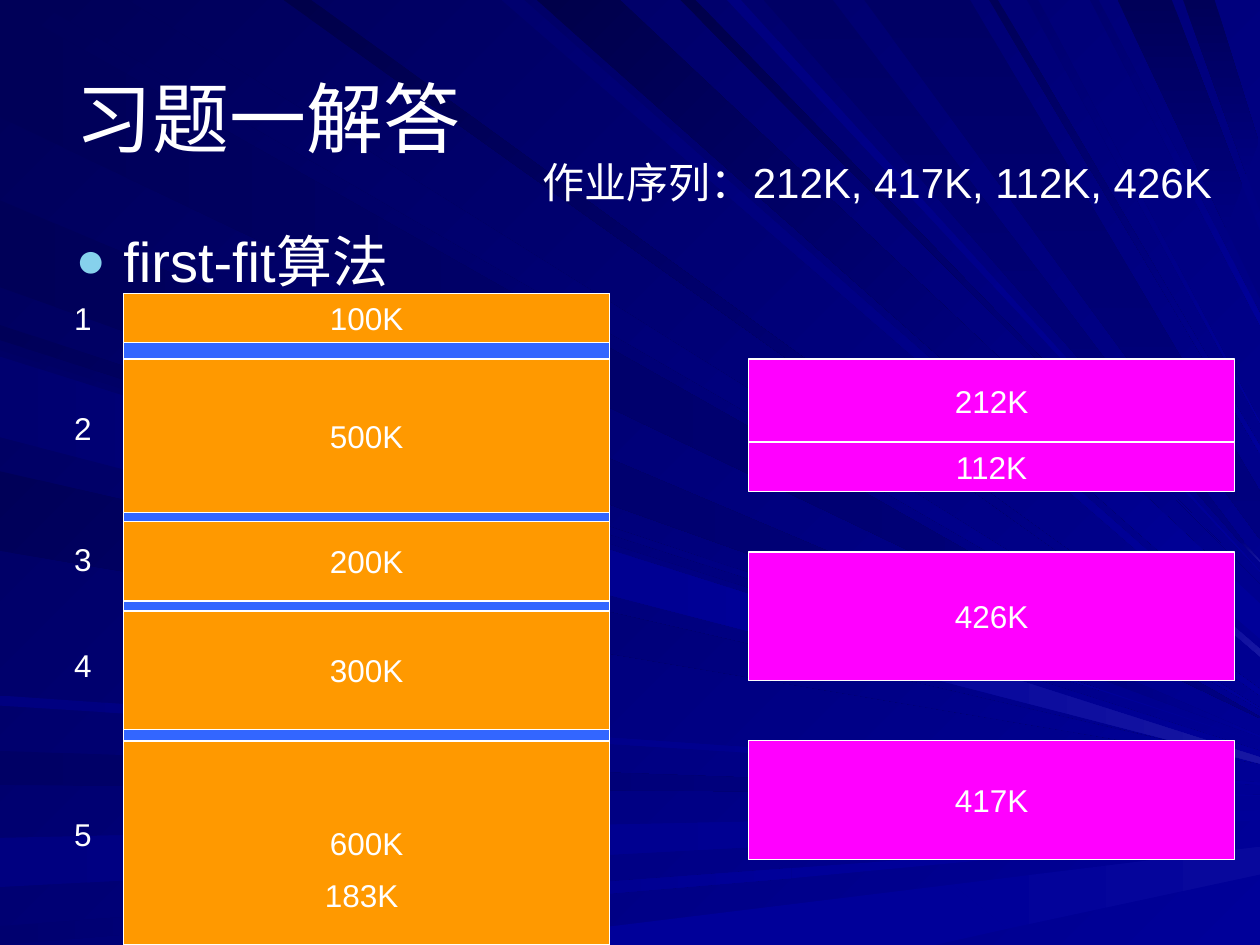
import dataclasses

import pptx
import pptx.dml.color
import pptx.enum.shapes
import pptx.enum.text
import pptx.oxml
import pptx.oxml.ns
import pptx.util

Inches = pptx.util.Inches
RGBColor = pptx.dml.color.RGBColor
PP_ALIGN = pptx.enum.text.PP_ALIGN
MSO_ANCHOR = pptx.enum.text.MSO_ANCHOR

WHITE = RGBColor(0xFF, 0xFF, 0xFF)
ORANGE = RGBColor(0xFF, 0x99, 0x00)
MAGENTA = RGBColor(0xFF, 0x00, 0xFF)
GAP_BLUE = RGBColor(0x33, 0x66, 0xFF)
BULLET_BLUE = RGBColor(0x86, 0xD1, 0xEC)
MIDNIGHT = RGBColor(0x00, 0x00, 0x4A)
DUSK = RGBColor(0x00, 0x00, 0x58)
DEEP = RGBColor(0x00, 0x00, 0x65)
INDIGO = RGBColor(0x00, 0x00, 0x6F)
NAVY = RGBColor(0x00, 0x00, 0x80)
BLUE = RGBColor(0x00, 0x00, 0x99)
FAINT_GLOW = RGBColor(0x08, 0x08, 0x9C)
GLOW = RGBColor(0x17, 0x17, 0xA2)

FONT_NAME = "Arial"
SLIDE_WIDTH, SLIDE_HEIGHT = 10, 7.5
ACROSS, DIAGONAL, DOWN = 0, 45, 90  # clockwise gradient angles


@dataclasses.dataclass
class Beam:
    """A strip of light from one slide edge to the right edge.

    start and finish give its two sides along those edges, and joint its two
    sides on the way. A third colour splits the strip in two at the joint.
    """
    start: tuple
    finish: tuple
    colors: tuple
    angle: int = DIAGONAL
    joint: tuple = ()


LEFT_BEAMS = [
    Beam((0.02, 0.93), (5.69, 5.7), (DUSK, NAVY), ACROSS, ((5.56, 3.17), (5.29, 3.45))),
    Beam((5.96, 6.23), (6.31, 6.32), (DEEP, NAVY, BLUE), ACROSS, ((7.01, 6.21), (7.01, 6.29))),
    Beam((6.65, 7.04), (6.43, 6.51), (NAVY, BLUE, BLUE), ACROSS, ((8.31, 6.47), (8.31, 6.6))),
    Beam((7.35, 7.5), (6.62, 6.62), (INDIGO, BLUE, BLUE), ACROSS, ((6.28, 6.89), (6.28, 6.97))),
    Beam((2.58, 2.7), (5.89, 5.89), (DUSK, BLUE, BLUE), DIAGONAL, ((8.73, 5.47), (8.73, 5.48))),
    Beam((1.59, 2.28), (5.84, 5.85), (DUSK, NAVY, BLUE), ACROSS, ((8.73, 5.29), (8.73, 5.39))),
    Beam((2.78, 3.42), (5.96, 6.02), (DEEP, BLUE)),
    Beam((3.74, 4.37), (6.05, 6.06), (DUSK, BLUE)),
    Beam((5.52, 5.6), (6.21, 6.23), (NAVY, BLUE), ACROSS),
    Beam((2.83, 3.47), (6.01, 6.06), (INDIGO, BLUE, GLOW), ACROSS, ((6.37, 4.85), (6.33, 5.11))),
]
TOP_BEAMS = [
    Beam((1.01, 0.26), (5.62, 5.63), (DUSK, BLUE), DIAGONAL, ((5.77, 2.98), (5.63, 3.1))),
    Beam((4.16, 3.98), (5.15, 5.21), (INDIGO, BLUE, GLOW), DIAGONAL, ((9.47, 4.69), (9.44, 4.73))),
    Beam((4.92, 4.26), (4.79, 5.07), (MIDNIGHT, BLUE, BLUE), DIAGONAL,
         ((9.68, 4.49), (9.51, 4.65))),
    Beam((5.52, 5.4), (4.63, 4.63), (MIDNIGHT, BLUE), DIAGONAL, ((9.77, 4.4), (9.77, 4.4))),
    Beam((6.61, 6.06), (4.45, 4.46), (DEEP, NAVY, GLOW), DOWN, ((9.87, 4.3), (9.85, 4.31))),
    Beam((9.3, 8.87), (1.83, 2.37), (DUSK, NAVY, NAVY), DOWN, ((9.86, 1.48), (9.73, 1.81))),
    Beam((9.64, 9.39), (1.14, 1.67), (DUSK, NAVY, NAVY), DOWN, ((9.99, 1.13), (9.89, 1.38))),
    Beam((2.47, 2.25), (5.47, 5.52), (MIDNIGHT, BLUE)),
    Beam((5.88, 5.77), (4.53, 4.54), (NAVY, BLUE)),
    Beam((7.7, 6.86), (3.9, 4.28), (DEEP, NAVY), DOWN),
    Beam((7.92, 7.85), (3.54, 3.6), (DUSK, BLUE)),
    Beam((8.24, 8.15), (3.35, 3.36), (INDIGO, BLUE)),
    Beam((8.72, 8.65), (2.49, 2.58), (INDIGO, BLUE)),
]
BOTTOM_BEAMS = [
    Beam((3.64, 7.42), (6.72, 6.94), (BLUE, BLUE, FAINT_GLOW), ACROSS, ((7.56, 7.02), (8, 7.37))),
]

# Gap above, height, text
PARTITIONS = [(0, 0.39, "100K"), (0.13, 1.22, "500K"), (0.07, 0.63, "200K"),
              (0.08, 0.94, "300K"), (0.09, 1.62, "600K")]
JOBS = [(0, 0.66, "212K"), (0, 0.39, "112K"), (0.48, 1.02, "426K"), (0.48, 0.94, "417K")]
# How far each partition's number sits above the partition's middle
NUMBER_RISES = [0, 0.06, 0.02, 0.04, 0.07]
LABEL_HEIGHT = 0.4


def paint(fill, first, last, clockwise_angle):
    if first == last:
        fill.solid()
        fill.fore_color.rgb = first
        return
    fill.gradient()
    fill.gradient_angle = -clockwise_angle % 360
    for stop, color in zip(fill.gradient_stops, (first, last)):
        stop.color.rgb = color


def write_text(shape, text, size, alignment=PP_ALIGN.LEFT, anchor=MSO_ANCHOR.TOP, wrap=True):
    frame = shape.text_frame
    frame.text = text
    paragraph = frame.paragraphs[0]
    font = paragraph.runs[0].font
    formats = [
        (frame, {"word_wrap": wrap, "vertical_anchor": anchor,
                 "auto_size": pptx.enum.text.MSO_AUTO_SIZE.NONE}),
        (paragraph, {"alignment": alignment, "space_before": pptx.util.Pt(0)}),
        (font, {"name": FONT_NAME, "size": pptx.util.Pt(size)}),
        (font.color, {"rgb": WHITE}),
    ]
    for target, values in formats:
        for name, value in values.items():
            setattr(target, name, value)


def add_bullet(paragraph, character, color, percent, indent):
    properties = paragraph._p.get_or_add_pPr()
    properties.set("marL", str(Inches(indent)))
    properties.set("indent", str(-Inches(indent)))
    namespace = pptx.oxml.ns.nsdecls("a")
    for xml in (f'<a:buClr {namespace}><a:srgbClr val="{color}"/></a:buClr>',
                f'<a:buSzPct {namespace} val="{percent * 1000}"/>',
                f'<a:buFont {namespace} typeface="{FONT_NAME}"/>',
                f'<a:buChar {namespace} char="{character}"/>'):
        properties.append(pptx.oxml.parse_xml(xml))


def draw_strip(group, sections, first, last, angle):
    """Fill the outline that runs along one side of the sections and back along the other."""
    outline = [section[0] for section in sections] + [section[1] for section in sections[::-1]]
    points = [(Inches(x), Inches(y)) for x, y in outline]
    builder = group.shapes.build_freeform(*points[0])
    builder.add_line_segments(points[1:])
    strip = builder.convert_to_shape()
    strip.shadow.inherit = False
    strip.line.fill.background()
    paint(strip.fill, first, last, angle)


def draw_beam(group, beam, start_section):
    finish_section = [(SLIDE_WIDTH, y) for y in beam.finish]
    sections = [start_section, *([beam.joint] if beam.joint else []), finish_section]
    if len(beam.colors) == 2:
        draw_strip(group, sections, *beam.colors, beam.angle)
        return
    for index in range(2):
        draw_strip(group, sections[index:index + 2], *beam.colors[index:index + 2], beam.angle)


def draw_background(slide):
    paint(slide.background.fill, DUSK, BLUE, DIAGONAL)
    group = slide.shapes.add_group_shape()
    for beam in BOTTOM_BEAMS:
        draw_beam(group, beam, [(x, SLIDE_HEIGHT) for x in beam.start])
    for beam in TOP_BEAMS:
        draw_beam(group, beam, [(x, 0) for x in beam.start])
    for beam in LEFT_BEAMS:
        draw_beam(group, beam, [(0, y) for y in beam.start])
    slide.shapes.element.insert(2, group.element)  # behind the placeholders


def add_block(slide, left, top, width, height, color, outlined=True):
    block = slide.shapes.add_shape(pptx.enum.shapes.MSO_SHAPE.RECTANGLE,
                                   *map(Inches, (left, top, width, height)))
    block.shadow.inherit = False
    paint(block.fill, color, color, ACROSS)
    if outlined:
        block.line.color.rgb = WHITE
        block.line.width = pptx.util.Pt(0.75)
    else:
        block.line.fill.background()
    return block


def add_label(slide, left, top, width, height, text, size):
    label = slide.shapes.add_textbox(*map(Inches, (left, top, width, height)))
    write_text(label, text, size)


def draw_stack(slide, left, top, width, rows, color):
    """Draw blocks downwards from top and return the middle of each."""
    middles = []
    for gap, height, text in rows:
        top += gap
        block = add_block(slide, left, top, width, height, color)
        write_text(block, text, 18, PP_ALIGN.CENTER, MSO_ANCHOR.MIDDLE, wrap=False)
        middles.append(top + height / 2)
        top += height
    return middles


def draw_memory(slide, left, top, width, height):
    add_block(slide, left, top, width, height, GAP_BLUE)
    middles = draw_stack(slide, left, top, width, PARTITIONS, ORANGE)
    for number, (middle, rise) in enumerate(zip(middles, NUMBER_RISES), start=1):
        number_top = middle - rise - LABEL_HEIGHT / 2
        add_label(slide, left - 0.49, number_top, 0.39, LABEL_HEIGHT, str(number), 18)
    remainder = add_block(slide, left + 1.26, top + 4.57, 1.26, LABEL_HEIGHT, ORANGE, False)
    write_text(remainder, "183K", 18, PP_ALIGN.CENTER)


def draw_headings(slide, left, top, width):
    title, body = slide.placeholders
    for shape, offset, height in ((title, 0, 1.25), (body, 1.45, 0.66)):
        box = {"left": left, "top": top + offset, "width": width, "height": height}
        for name, value in box.items():
            setattr(shape, name, Inches(value))
    write_text(title, "习题一解答", 44, anchor=MSO_ANCHOR.MIDDLE)
    write_text(body, "first-fit算法", 32)
    add_bullet(body.text_frame.paragraphs[0], "●", BULLET_BLUE, 90, 0.38)
    add_label(slide, left + 3.71, top + 0.89, 5.59, 0.9, "作业序列：212K, 417K, 112K, 426K", 24)


def main():
    presentation = pptx.Presentation()
    presentation.slide_width = Inches(SLIDE_WIDTH)
    presentation.slide_height = Inches(SLIDE_HEIGHT)
    slide = presentation.slides.add_slide(presentation.slide_layouts[1])
    draw_background(slide)
    draw_headings(slide, 0.5, 0.3, 9)
    draw_memory(slide, 0.98, 2.33, 3.86, 5.17)
    draw_stack(slide, 5.94, 2.85, 3.86, JOBS, MAGENTA)
    presentation.save("out.pptx")


if __name__ == "__main__":
    main()
